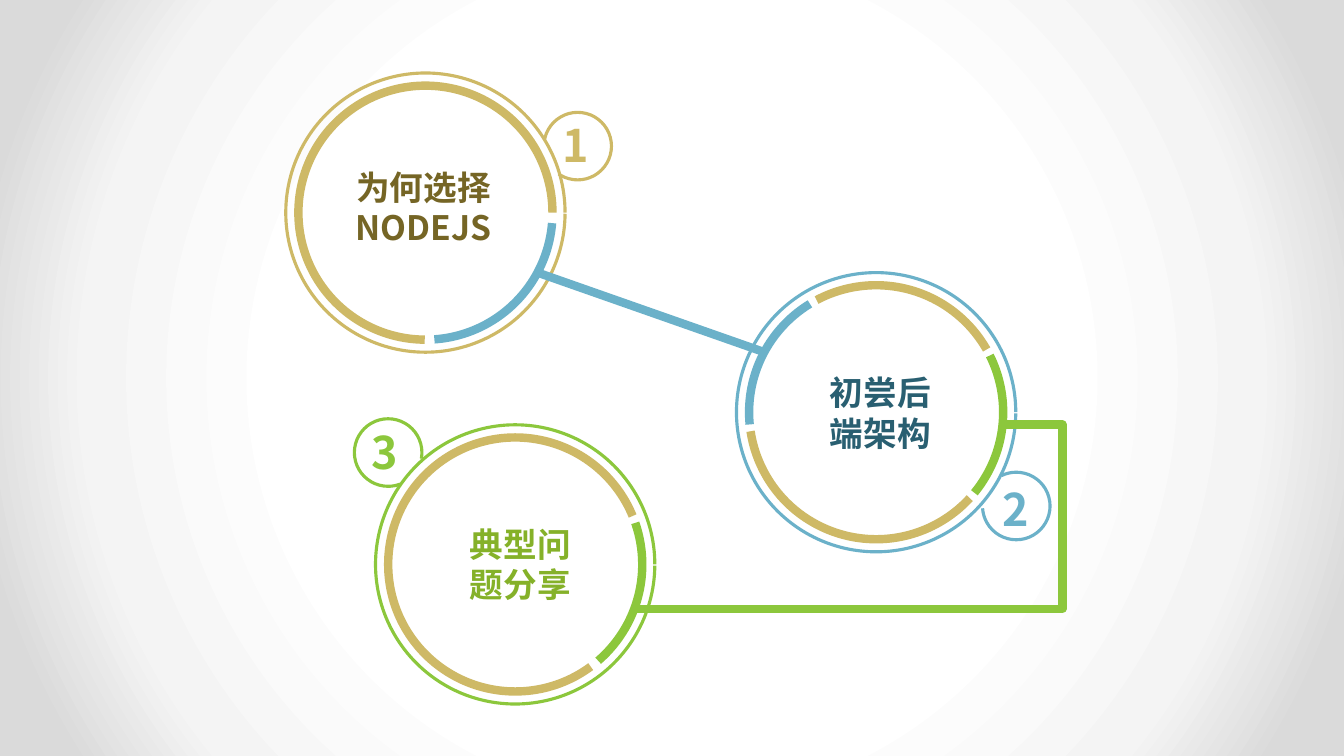
from lxml import etree
from pptx import Presentation
from pptx.dml.color import RGBColor
from pptx.enum.shapes import MSO_CONNECTOR, MSO_SHAPE
from pptx.enum.text import MSO_AUTO_SIZE, PP_ALIGN
from pptx.oxml import parse_xml
from pptx.oxml.ns import nsdecls, qn
from pptx.util import Inches, Pt

ARC = MSO_SHAPE.ARC
STRAIGHT, ELBOW = MSO_CONNECTOR.STRAIGHT, MSO_CONNECTOR.ELBOW
CENTER, LEFT = PP_ALIGN.CENTER, PP_ALIGN.LEFT
GROW = MSO_AUTO_SIZE.SHAPE_TO_FIT_TEXT

FONT = "Noto Sans CJK SC"
GOLD, BLUE, GREEN = "CEB966", "6BB1C9", "8CC73C"
THICK, THIN = 6, 2.25
INNER, OUTER, BADGE = 2.52, 2.77, 0.67

deck = Presentation()
deck.slide_width, deck.slide_height = Inches(13.33), Inches(7.5)
page = deck.slides.add_slide(deck.slide_layouts[6])


def paint_line(line, color, width):
    line.color.rgb = RGBColor.from_string(color)
    line.width = Pt(width)


def add_text(text, center, size, *, points, color, align=CENTER, wrap=True):
    left, top = center[0] - size[0] / 2, center[1] - size[1] / 2
    box = page.shapes.add_textbox(*map(Inches, (left, top, *size)))
    frame = box.text_frame
    frame.word_wrap, frame.auto_size = wrap, GROW
    para = frame.paragraphs[0]
    para.alignment = align
    span = para.add_run()
    span.text = text
    span.font.size, span.font.bold, span.font.name = Pt(points), True, FONT
    span.font.color.rgb = RGBColor.from_string(color)
    east_asian = etree.SubElement(span.font._element, qn("a:ea"))
    east_asian.set("typeface", FONT)


# Background: white centre fading to grey
stops = "".join(
    f'<a:gs pos="{percent * 1000}"><a:srgbClr val="{color}"/></a:gs>'
    for percent, color in [(50, "FFFFFF"), (76, "F4F4F4"), (92, "DADADA")]
)
page.background.fill.solid()
solid = next(page.element.iter(qn("a:solidFill")))
solid.getparent().replace(solid, parse_xml(
    f'<a:gradFill {nsdecls("a")} rotWithShape="1"><a:gsLst>{stops}</a:gsLst>'
    '<a:path path="circle"><a:fillToRect l="50000" t="50000" r="50000" b="50000"/>'
    '</a:path></a:gradFill>'))

# Topics; arcs run clockwise from start to end, in degrees
topics = [
    dict(number="1", label="为何选择NODEJS", center=(4.22, 2.11), color=GOLD,
         label_center=(4.2, 2.06), label_width=2.52, label_color="756525",
         segments=[(GOLD, 90.32, 0), (BLUE, 4.72, 85.97)],
         badge=(5.73, 1.45), badge_arc=(191.63, 124.33), number_center=(5.72, 1.44)),
    dict(number="2", label="初尝后端架构", center=(8.69, 4.09), color=BLUE,
         label_center=(8.73, 4.1), label_width=1.39, label_color="295F71",
         segments=[(BLUE, 174.49, 238.59), (GREEN, 333.46, 39.35),
                   (GOLD, 242.03, 330.39), (GOLD, 42.55, 171.39)],
         badge=(10.08, 5.02), badge_arc=(244.48, 176.11), number_center=(10.08, 5.05)),
    dict(number="3", label="典型问题分享", center=(5.11, 5.6), color=GREEN,
         label_center=(5.16, 5.6), label_width=1.43, label_color="85B129",
         segments=[(GOLD, 53.54, 337.55), (GREEN, 340.86, 49.25)],
         badge=(3.85, 4.49), badge_arc=(69.26, 10.5), number_center=(3.83, 4.48)),
]

for topic in topics:
    # Inner ring segments, outer ring, badge ring
    arcs = [(topic["center"], INNER, THICK, *segment) for segment in topic["segments"]]
    arcs.append((topic["center"], OUTER, THIN, topic["color"], 0.47, 0))
    arcs.append((topic["badge"], BADGE, THIN, topic["color"], *topic["badge_arc"]))
    for (x, y), diameter, width, color, start, end in arcs:
        ring = page.shapes.add_shape(ARC, Inches(x - diameter / 2), Inches(y - diameter / 2),
                                     Inches(diameter), Inches(diameter))
        # One adjustment unit is 100000/60000 of a degree
        ring.adjustments[0], ring.adjustments[1] = start * 0.6, end * 0.6
        ring.fill.background()
        ring.shadow.inherit = False
        paint_line(ring.line, color, width)

    add_text(topic["number"], topic["number_center"], (0.48, 0.64), points=32,
             color=topic["color"], align=LEFT, wrap=False)

# Links between the topics
links = [(STRAIGHT, (5.32, 2.7), (7.57, 3.49), BLUE),
         (ELBOW, (9.95, 4.21), (6.28, 6.04), GREEN)]
for kind, start, end, color in links:
    link = page.shapes.add_connector(kind, *map(Inches, (*start, *end)))
    paint_line(link.line, color, THICK)
    properties = link._element.spPr
    etree.SubElement(properties, qn("a:effectLst"))
    if kind == ELBOW:
        # Bend outside the circle, 16% beyond the start
        guides = properties.find(qn("a:prstGeom")).get_or_add_avLst()
        bend = etree.SubElement(guides, qn("a:gd"))
        bend.set("name", "adj1")
        bend.set("fmla", "val -16000")

# Topic labels
for topic in topics:
    add_text(topic["label"], topic["label_center"], (topic["label_width"], 0.91),
             points=24, color=topic["label_color"])

deck.save("out.pptx")
